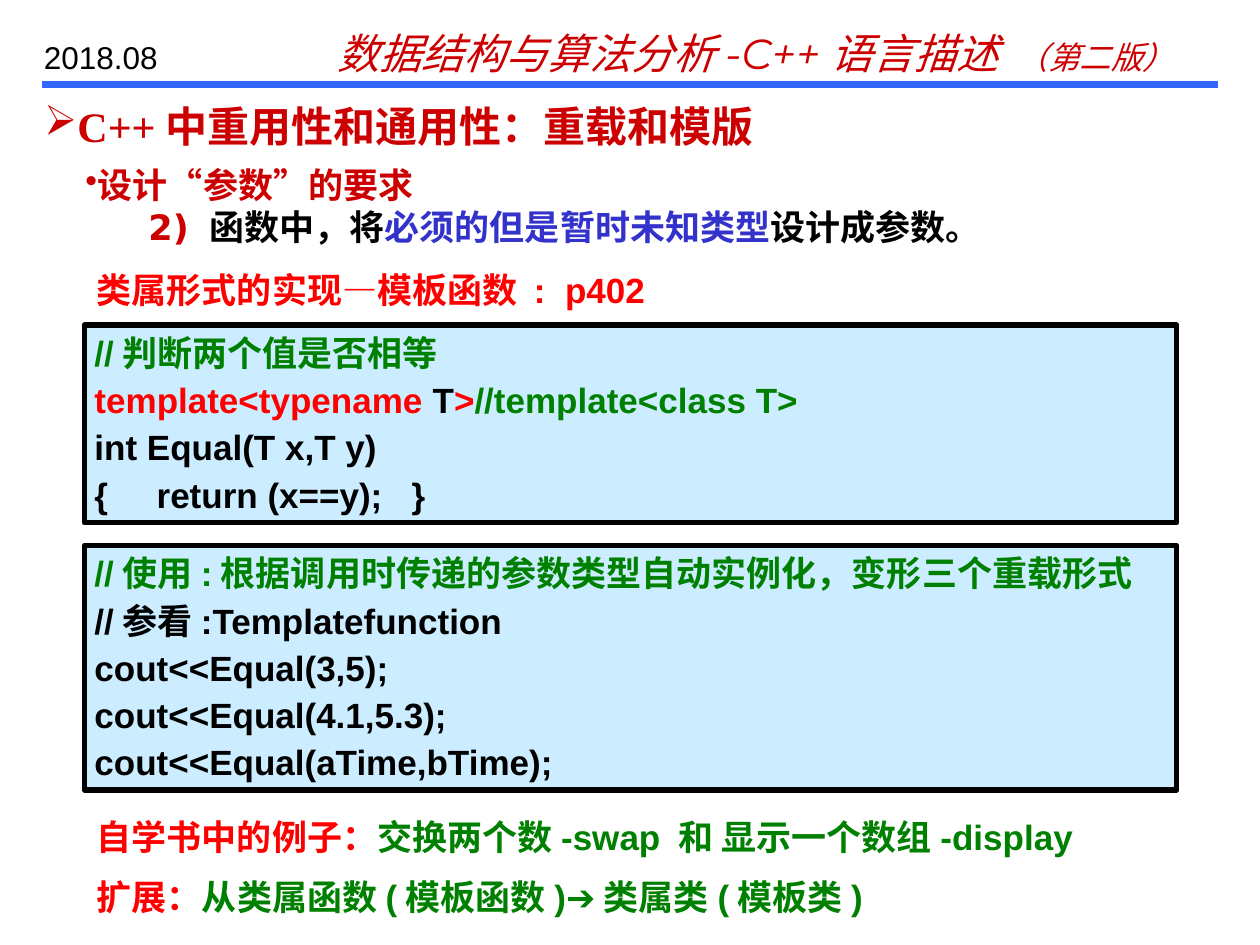
from pptx import Presentation
from pptx.dml.color import RGBColor
from pptx.enum.shapes import MSO_CONNECTOR as Conn, MSO_SHAPE as Shape
from pptx.enum.text import MSO_ANCHOR as Anchor, MSO_AUTO_SIZE as Fit, PP_ALIGN as Align
from pptx.oxml.ns import qn
from pptx.util import Inches, Pt
from lxml import etree

RED, DARK, GREEN, BLACK = "FF0000", "CC0000", "008000", "000000"


def color(code):
    return RGBColor.from_string(code)


def write(shape, paras, face="Arial", size=20, bold=True, gap=0):
    """Each paragraph is (bullet, indent, runs); each run is (text, color)."""
    frame = shape.text_frame
    frame.word_wrap = True
    frame.auto_size = Fit.NONE
    for i, (mark, indent, runs) in enumerate(paras):
        para = frame.paragraphs[0] if i == 0 else frame.add_paragraph()
        para.alignment = Align.LEFT
        para.space_before = Pt(gap if i else 0)
        props = para._p.get_or_add_pPr()
        props.set("marL", str(Inches(indent)))
        props.set("indent", "0")
        if mark:
            etree.SubElement(props, qn("a:buChar")).set("char", mark)
        for text, tint in runs:
            run = para.add_run()
            run.text = text
            font = run.font
            font.name, font.size, font.bold = face, Pt(size), bold
            font.color.rgb = color(tint)


prs = Presentation()
prs.slide_width, prs.slide_height = Inches(10), Inches(7.5)
slide = prs.slides.add_slide(prs.slide_layouts[5])
shapes = slide.shapes

# Header rule
rule = shapes.add_connector(Conn.STRAIGHT, Inches(0.33), Inches(0.67), Inches(9.67), Inches(0.67))
rule.line.color.rgb = color("3366FF")
rule.line.width = Pt(4)
etree.SubElement(rule._element.spPr, qn("a:effectLst"))

# Header: book and date
book = shapes.add_textbox(Inches(2.58), Inches(0.17), Inches(7), Inches(0.5))
write(book, [(None, 0, [("数据结构与算法分析-C++语言描述  ", DARK), ("（第二版）", DARK)])],
      "Montserrat", 24, False)
for run in book.text_frame.paragraphs[0].runs:
    run.font.italic = True
run.font.size = Pt(18)

date = shapes.add_textbox(Inches(0.25), Inches(0.25), Inches(1.42), Inches(0.4))
write(date, [(None, 0, [("2018.08", BLACK)])], size=18, bold=False)

# Title
title = shapes.title
title.left, title.top = Inches(0.25), Inches(0.75)
title.width, title.height = Inches(9.08), Inches(0.5)
title.text_frame.vertical_anchor = Anchor.MIDDLE
write(title, [("➢", 0, [("C++中重用性和通用性：重载和模版", DARK)])], "Times New Roman", 24)

# Design rule
design = shapes.add_textbox(Inches(0.58), Inches(1.25), Inches(9.67), Inches(0.77))
write(design, [
    ("•", 0, [("设计“参数”的要求", DARK)]),
    (None, 0.5, [("2) ", DARK), ("函数中，将", BLACK),
                 ("必须的但是暂时未知类型", "3333CC"), ("设计成参数。", BLACK)]),
], "DejaVu Sans")

# Code boxes
codes = [
    (2.58, 1.57, [
        [("//判断两个值是否相等", GREEN)],
        [("template<typename ", RED), ("T", BLACK), (">", RED), ("//template<class T>", GREEN)],
        [("int Equal(T x,T y)", BLACK)],
        [("{     return (x==y);   }", BLACK)],
    ]),
    (4.33, 1.94, [
        [("//使用:根据调用时传递的参数类型自动实例化，变形三个重载形式", GREEN)],
        [("//参看:Templatefunction", BLACK)],
        [("cout<<Equal(3,5);", BLACK)],
        [("cout<<Equal(4.1,5.3);", BLACK)],
        [("cout<<Equal(aTime,bTime);", BLACK)],
    ]),
]
for top, high, lines in codes:
    box = shapes.add_shape(Shape.RECTANGLE, Inches(0.67), Inches(top), Inches(8.67), Inches(high))
    box.shadow.inherit = False
    box.fill.solid()
    box.fill.fore_color.rgb = color("CCECFF")
    box.line.color.rgb = color(BLACK)
    box.line.width = Pt(3)
    frame = box.text_frame
    frame.margin_left = frame.margin_right = Inches(0.08)
    frame.margin_top = frame.margin_bottom = Inches(0.05)
    frame.vertical_anchor = Anchor.TOP
    write(box, [(None, 0, line) for line in lines], gap=3)

# Notes around the code
notes = [
    (2.08, [("类属形式的实现—模板函数 :  p402", RED)]),
    (6.42, [("自学书中的例子：", RED), ("交换两个数-swap 和 显示一个数组-display", GREEN)]),
    (6.9, [("扩展：", RED), ("从类属函数(模板函数)➔类属类(模板类)", GREEN)]),
]
for top, runs in notes:
    note = shapes.add_textbox(Inches(0.67), Inches(top), Inches(8.5), Inches(0.43))
    write(note, [(None, 0, runs)])

prs.save("out.pptx")
